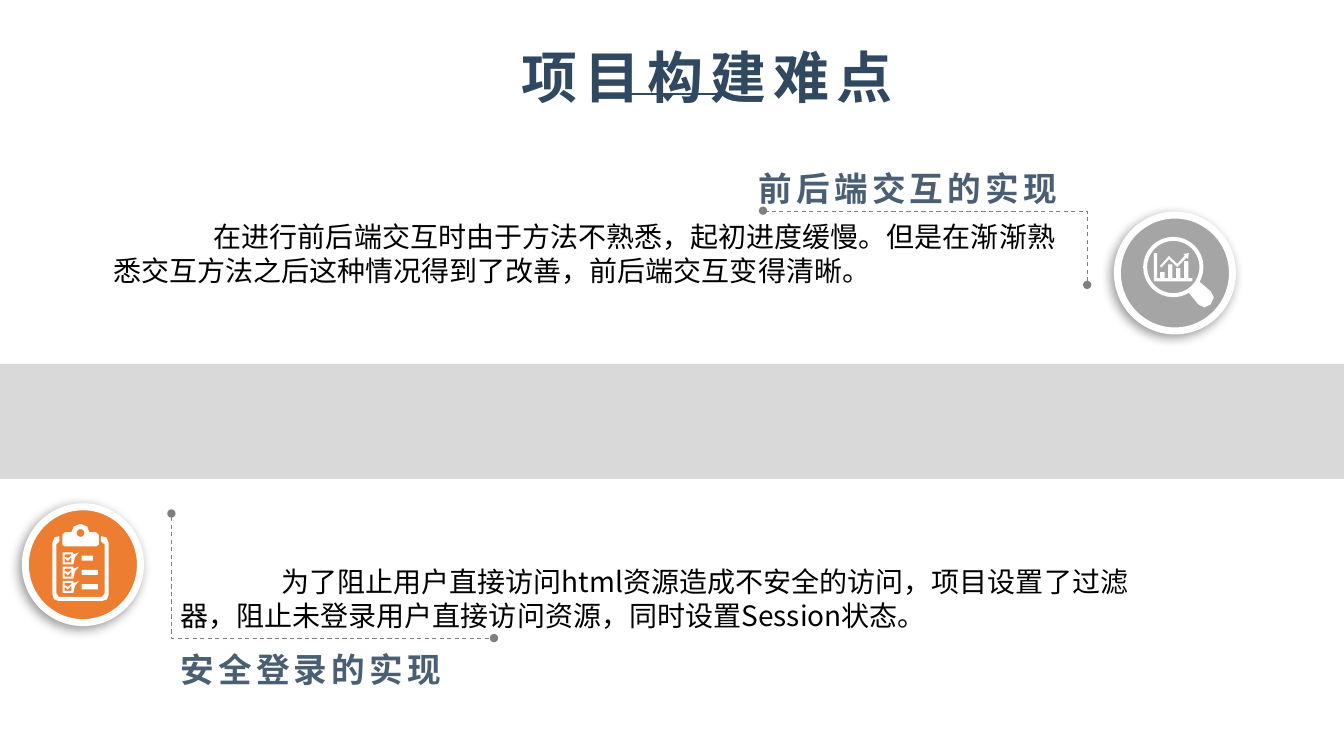
"""Build the slide on the project's difficulties."""
import math
from dataclasses import dataclass

import pptx
import pptx.dml.color
import pptx.enum.dml
import pptx.enum.shapes
import pptx.enum.text
import pptx.oxml
import pptx.oxml.ns
import pptx.util
from pptx.util import Cm

Kind = pptx.enum.shapes.MSO_SHAPE
Align = pptx.enum.text.PP_ALIGN
qn = pptx.oxml.ns.qn

FONT = "Noto Sans CJK SC"
NAVY, SLATE, BLACK, WHITE = "304860", "4A5F74", "000000", "FFFFFF"
ORANGE, SILVER, GREY, BAND = "ED7D31", "A5A5A5", "7F7F7F", "D9D9D9"


@dataclass
class Box:
    left: float
    top: float
    width: float
    height: float

    def lengths(self) -> tuple:
        return Cm(self.left), Cm(self.top), Cm(self.width), Cm(self.height)

    def corners(self) -> list:
        right, bottom = self.left + self.width, self.top + self.height
        return [(self.left, self.top), (right, self.top), (right, bottom), (self.left, bottom)]


@dataclass
class TextStyle:
    size: float
    color: str
    line_height: float
    bold: bool = False
    spacing: float = 0
    indent: float = 0


@dataclass
class Topic:
    heading: str
    heading_box: Box
    alignment: Align
    body: str
    body_box: Box


@dataclass
class Badge:
    box: Box
    fill: str
    contours: list


HEADING = TextStyle(24, SLATE, 29, bold=True, spacing=3)
BODY = TextStyle(20, BLACK, 24.3, indent=2.54)
TITLE = TextStyle(40, NAVY, 48, bold=True, spacing=5)

TOPICS = [
    Topic("前后端交互的实现", Box(15.1, 4.11, 11.79, 1.27), Align.RIGHT,
          "在进行前后端交互时由于方法不熟悉，起初进度缓慢。但是在渐渐熟悉交互方法之后这种情况得到了改善，前后端交互变得清晰。",
          Box(2.6, 5.39, 24.46, 1.93)),
    Topic("安全登录的实现", Box(4.3, 16.23, 26.75, 1.27), Align.LEFT,
          "为了阻止用户直接访问html资源造成不安全的访问，项目设置了过滤器，阻止未登录用户直接访问资源，同时设置Session状态。",
          Box(4.3, 14.1, 24.99, 1.93)),
]
BRACKETS = [
    [(27.4, 7.18), (27.4, 5.31), (19.23, 5.31)],
    [(4.32, 12.94), (4.32, 16.08), (12.45, 16.08)],
]


def rgb(color: str) -> pptx.dml.color.RGBColor:
    return pptx.dml.color.RGBColor.from_string(color)


def circle(x: float, y: float, radius: float, count: int) -> list:
    angles = [2 * math.pi * step / count for step in range(count)]
    return [(x + radius * math.cos(angle), y + radius * math.sin(angle)) for angle in angles]


def clipboard_contours() -> list:
    sheet = [(1.5, 13.51), (1.38, 13.54), (1.32, 13.68), (1.32, 14.98), (1.36, 15.1),
             (1.47, 15.14), (2.59, 15.14), (2.7, 15.1), (2.74, 14.98), (2.74, 13.68),
             (2.68, 13.54), (2.54, 13.51), (2.54, 13.64), (2.64, 13.72), (2.64, 14.95),
             (2.57, 15.04), (1.48, 15.04), (1.42, 14.95), (1.42, 13.72), (1.5, 13.64)]
    clip = [(1.8, 13.41), (1.86, 13.27), (2.0, 13.21), (2.06, 13.21), (2.2, 13.27),
            (2.25, 13.41), (2.42, 13.41), (2.49, 13.48), (2.49, 13.72), (2.43, 13.77),
            (1.62, 13.77), (1.57, 13.72), (1.57, 13.48), (1.64, 13.41)]
    contours = [sheet, clip, circle(2.03, 13.43, 0.1, 12)]
    frame = [(0, 0), (0.26, 0), (0.28, 0.05), (0.41, 0), (0.31, 0.12), (0.27, 0.3), (0, 0.3)]
    check = [(0.05, 0.14), (0.08, 0.11), (0.13, 0.15), (0.22, 0.08), (0.22, 0.12), (0.13, 0.22)]
    for row, bar_width in enumerate((0.28, 0.41, 0.41)):
        top = 13.92 + 0.36 * row
        contours.append(Box(2.06, top + 0.08, bar_width, 0.13).corners())
        opening = Box(0.05, 0.05, 0.17, 0.2).corners()
        for part in (frame, opening, check):
            contours.append([(1.58 + x, top + y) for x, y in part])
    return contours


def magnifier_contours() -> list:
    handle = [(29.96, 7.38), (30.11, 7.26), (30.23, 7.1), (30.51, 7.34), (30.59, 7.5),
              (30.51, 7.67), (30.35, 7.75), (30.2, 7.67)]
    axes = [(29.08, 6.38), (29.16, 6.38), (29.16, 7.01), (30.05, 7.01), (30.05, 7.09),
            (29.08, 7.09)]
    trend = [(29.23, 6.71), (29.46, 6.45), (29.67, 6.65), (29.86, 6.44), (29.82, 6.4),
             (29.96, 6.38), (29.94, 6.53), (29.9, 6.49), (29.67, 6.73), (29.46, 6.53),
             (29.27, 6.74)]
    contours = [circle(29.57, 6.73, 0.76, 32), circle(29.57, 6.73, 0.66, 32),
                handle, axes, trend]
    for column, height in enumerate((0.15, 0.35, 0.25, 0.43)):
        contours.append(Box(29.24 + 0.2 * column, 7.01 - height, 0.11, height).corners())
    return contours


def draw_shape(shapes, kind: Kind, box: Box, fill: str):
    shape = shapes.add_shape(kind, *box.lengths())
    shape.shadow.inherit = False
    shape.fill.solid()
    shape.fill.fore_color.rgb = rgb(fill)
    shape.line.fill.background()
    return shape


def draw_freeform(shapes, contours: list, close: bool):
    builder = shapes.build_freeform(*[Cm(value) for value in contours[0][0]])
    for index, contour in enumerate(contours):
        start, *others = [(Cm(x), Cm(y)) for x, y in contour]
        if index:
            builder.move_to(*start)
        builder.add_line_segments(others, close=close)
    shape = builder.convert_to_shape()
    shape.shadow.inherit = False
    return shape


def draw_bracket(shapes, points: list) -> None:
    shape = draw_freeform(shapes, [points], close=False)
    shape.fill.background()
    shape.line.color.rgb = rgb(GREY)
    shape.line.dash_style = pptx.enum.dml.MSO_LINE.DASH
    outline = shape._element.spPr.find(qn("a:ln"))
    outline.set("w", "0")
    for end in ("a:headEnd", "a:tailEnd"):
        marker = pptx.oxml.parse_xml(f'<{end} {pptx.oxml.ns.nsdecls("a")} type="oval"/>')
        outline.append(marker)


def draw_badge(shapes, badge: Badge) -> None:
    disc = draw_shape(shapes, Kind.OVAL, badge.box, badge.fill)
    disc.line.color.rgb = rgb(WHITE)
    disc.line.width = pptx.util.Pt(5)
    disc._element.spPr.find(qn("a:effectLst")).append(pptx.oxml.parse_xml(
        f'<a:outerShdw {pptx.oxml.ns.nsdecls("a")} blurRad="101600" dist="38100" dir="8100000">'
        f'<a:srgbClr val="{BLACK}"><a:alpha val="40000"/></a:srgbClr></a:outerShdw>'))
    icon = draw_freeform(shapes, badge.contours, close=True)
    icon.fill.solid()
    icon.fill.fore_color.rgb = rgb(WHITE)
    icon.line.fill.background()


def write_text(shape, text: str, style: TextStyle, alignment: Align, wrap: bool = True) -> None:
    frame = shape.text_frame
    frame.text = text
    frame.word_wrap = wrap
    frame.auto_size = pptx.enum.text.MSO_AUTO_SIZE.NONE
    frame.vertical_anchor = pptx.enum.text.MSO_ANCHOR.TOP
    paragraph = frame.paragraphs[0]
    paragraph.alignment = alignment
    paragraph.line_spacing = pptx.util.Pt(style.line_height)
    if style.indent:
        paragraph._p.get_or_add_pPr().set("indent", str(Cm(style.indent)))
    for font in (paragraph.font, paragraph.runs[0].font):
        font.size = pptx.util.Pt(style.size)
        font.bold = style.bold
        font.color.rgb = rgb(style.color)
        font.name = FONT
        font._rPr.set("spc", str(round(style.spacing * 100)))
        font._rPr.append(pptx.oxml.parse_xml(
            f'<a:ea {pptx.oxml.ns.nsdecls("a")} typeface="{FONT}"/>'))


def main() -> None:
    presentation = pptx.Presentation()
    presentation.slide_width, presentation.slide_height = Cm(33.87), Cm(19.05)
    slide = presentation.slides.add_slide(presentation.slide_layouts[5])
    shapes = slide.shapes
    rule = shapes.add_connector(pptx.enum.shapes.MSO_CONNECTOR.STRAIGHT,
                                Cm(15.27), Cm(2.36), Cm(18.39), Cm(2.36))
    rule.line.color.rgb = rgb(NAVY)
    rule.line.width = pptx.util.Pt(1.5)
    rule._element.spPr.append(
        pptx.oxml.parse_xml(f'<a:effectLst {pptx.oxml.ns.nsdecls("a")}/>'))
    draw_shape(shapes, Kind.ISOSCELES_TRIANGLE, Box(16.66, 2.36, 0.33, 0.2), NAVY).rotation = 180
    for points in BRACKETS:
        draw_bracket(shapes, points)
    draw_shape(shapes, Kind.RECTANGLE, Box(0, 9.17, 33.87, 2.9), BAND)
    for badge in (Badge(Box(0.64, 12.77, 2.9, 2.92), ORANGE, clipboard_contours()),
                  Badge(Box(28.16, 5.42, 2.9, 2.92), SILVER, magnifier_contours())):
        draw_badge(shapes.add_group_shape().shapes, badge)
    for topic in TOPICS:
        heading = shapes.add_textbox(*topic.heading_box.lengths())
        write_text(heading, topic.heading, HEADING, topic.alignment)
        body = shapes.add_textbox(*topic.body_box.lengths())
        write_text(body, topic.body, BODY, Align.LEFT)
    title = shapes.title
    title.left, title.top, title.width, title.height = Box(12.9, 0.94, 10.13, 1.96).lengths()
    write_text(title, "项目构建难点", TITLE, Align.LEFT, wrap=False)
    shapes._spTree.append(title._element)
    presentation.save("out.pptx")


if __name__ == "__main__":
    main()
